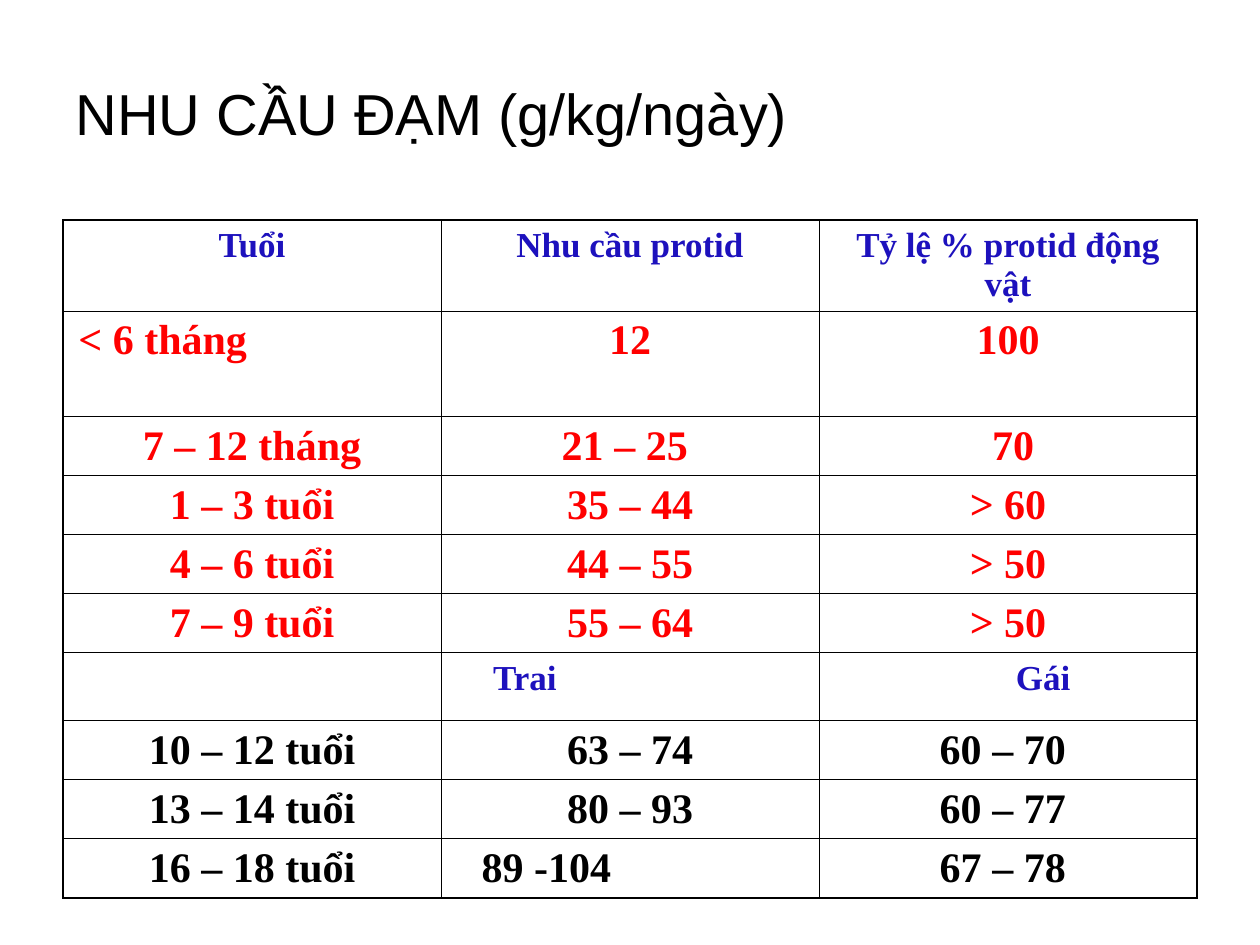
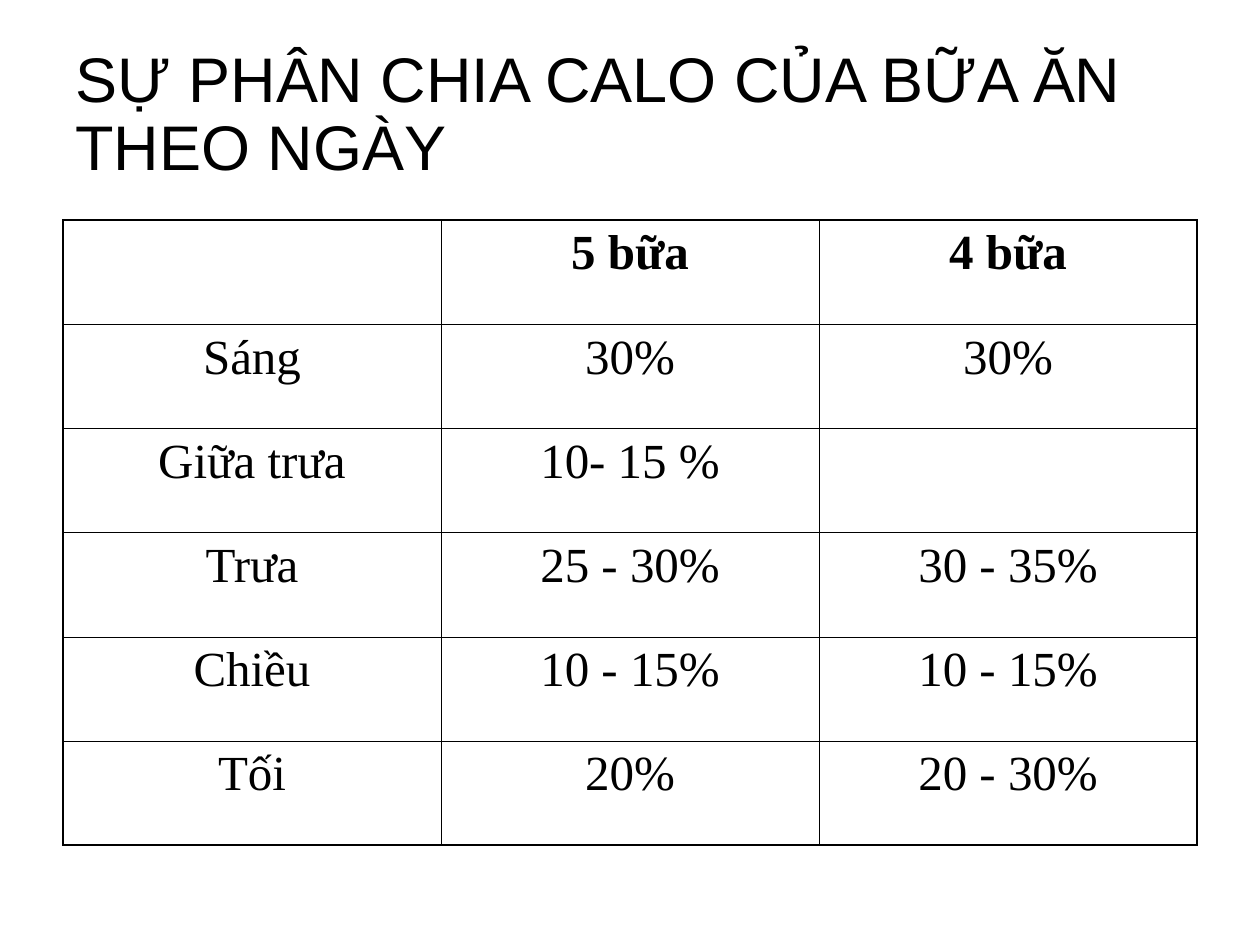
from dataclasses import dataclass, field

from lxml.etree import SubElement
from pptx import Presentation
from pptx.dml.color import RGBColor
from pptx.enum.text import MSO_ANCHOR, PP_ALIGN
from pptx.oxml.ns import qn
from pptx.util import Cm, Pt

INK = {"black": "000000", "blue": "1D11BD", "red": "FF0000"}
HEAD, BODY = "Arial", "Times New Roman"
LEFT, WIDE = Cm(1.27), Cm(22.86)
PAD_X, PAD_Y = Cm(0.25), Cm(0.12)
THIN, THICK = Pt(0.45), Pt(1.08)


@dataclass
class Row:
    texts: tuple[str, ...]
    high: float = 1.19
    ink: str = "black"
    size: int = 24
    bold: bool = True
    # Column number to indent in cm, for left-aligned cells
    dents: dict[int, float] = field(default_factory=dict)


@dataclass
class Page:
    title: str
    size: int
    rows: list[Row]


def meal(*texts: str, bold: bool = False) -> Row:
    return Row(texts, high=2.1, size=28, bold=bold)


PAGES = [
    Page("NHU CẦU ĐẠM (g/kg/ngày)", 33, [
        Row(("Tuổi", "Nhu cầu protid", "Tỷ lệ % protid động vật"), 1.83, "blue", 20),
        Row(("< 6 tháng", "12", "100"), 2.13, "red", dents={0: 0.06}),
        Row(("7 – 12 tháng", "21 – 25 ", " 70"), ink="red"),
        Row(("1 – 3 tuổi", "35 – 44", "> 60"), ink="red"),
        Row(("4 – 6 tuổi", "44 – 55", "> 50"), ink="red"),
        Row(("7 – 9 tuổi", "55 – 64", "> 50"), ink="red"),
        Row(("", "Trai", "Gái"), 1.37, "blue", 20, dents={1: 0.8, 2: 3.72}),
        Row(("10 – 12 tuổi", "63 – 74", "60 – 70 ")),
        Row(("13 – 14 tuổi", "80 – 93", "60 – 77 ")),
        Row(("16 – 18 tuổi", "89 -104", "67 – 78 "), dents={1: 0.57}),
    ]),
    Page("SỰ PHÂN CHIA CALO CỦA BỮA ĂN THEO NGÀY", 36, [
        meal("", "5 bữa", "4 bữa", bold=True),
        meal("Sáng", "30%", "30%"),
        meal("Giữa trưa", "10- 15 %", ""),
        meal("Trưa", "25 - 30%", "30 - 35%"),
        meal("Chiều", "10 - 15%", "10 - 15%"),
        meal("Tối", "20%", "20 - 30%"),
    ]),
]


def write(para, text: str, face: str, size: int, ink: str, bold: bool = False) -> None:
    run = para.add_run()
    run.text = text
    run.font.name = face
    run.font.size = Pt(size)
    run.font.bold = bold
    run.font.color.rgb = RGBColor.from_string(INK[ink])


def add_title(slide, page: Page) -> None:
    frame = slide.shapes.add_textbox(LEFT, Cm(0.76), WIDE, Cm(3.18)).text_frame
    frame.word_wrap = True
    frame.vertical_anchor = MSO_ANCHOR.MIDDLE
    para = frame.paragraphs[0]
    para.line_spacing = 0.9
    write(para, page.title, HEAD, page.size, "black")


def add_edges(cell, outer: dict[str, bool]) -> None:
    props = cell._tc.get_or_add_tcPr()
    for side, thick in outer.items():
        line = SubElement(props, qn(f"a:ln{side}"), w=str(THICK if thick else THIN))
        fill = SubElement(line, qn("a:solidFill"))
        SubElement(fill, qn("a:srgbClr"), val=INK["black"])


def fill_cell(cell, row: Row, col: int) -> None:
    cell.margin_left = cell.margin_right = PAD_X
    # No bottom margin, so that the text never stretches its row
    cell.margin_top, cell.margin_bottom = PAD_Y, 0
    para = cell.text_frame.paragraphs[0]
    para.alignment = PP_ALIGN.CENTER
    if col in row.dents:
        para.alignment = PP_ALIGN.LEFT
        cell.margin_left = PAD_X + Cm(row.dents[col])
    if row.texts[col]:
        write(para, row.texts[col], BODY, row.size, row.ink, row.bold)


def add_grid(slide, rows: list[Row]) -> None:
    count, cols = len(rows), len(rows[0].texts)
    high = Cm(sum(row.high for row in rows))
    grid = slide.shapes.add_table(count, cols, LEFT, Cm(4.44), WIDE, high).table
    grid.first_row = grid.horz_banding = False
    for r, row in enumerate(rows):
        grid.rows[r].height = Cm(row.high)
        for c in range(cols):
            cell = grid.cell(r, c)
            fill_cell(cell, row, c)
            # Heavier lines on the outside of the table
            add_edges(cell, {"L": c == 0, "R": c == cols - 1,
                             "T": r == 0, "B": r == count - 1})
            cell.fill.background()


def main() -> None:
    deck = Presentation()
    deck.slide_width, deck.slide_height = Cm(25.4), Cm(19.05)
    for page in PAGES:
        slide = deck.slides.add_slide(deck.slide_layouts[6])
        add_title(slide, page)
        add_grid(slide, page.rows)
    deck.save("out.pptx")


if __name__ == "__main__":
    main()
